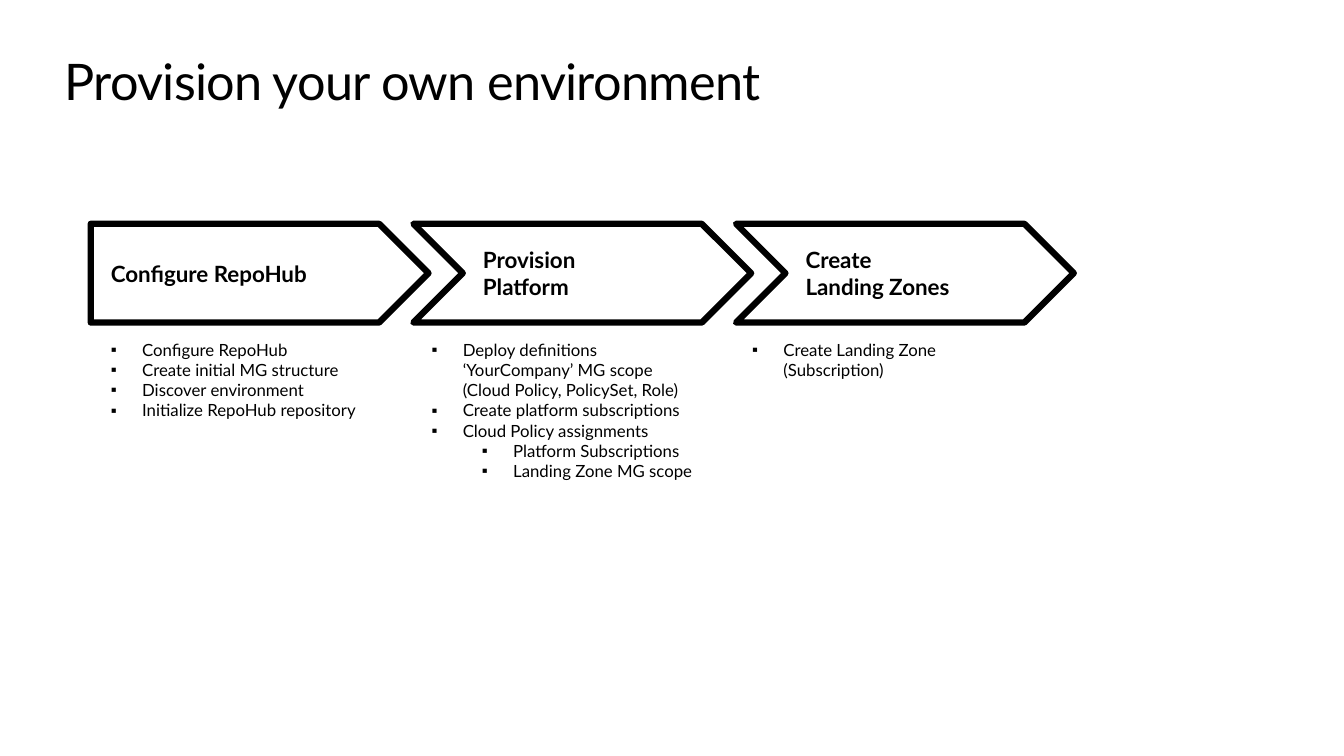
from copy import deepcopy

from lxml import etree
from pptx import Presentation
from pptx.dml.color import RGBColor
from pptx.enum.shapes import MSO_SHAPE
from pptx.enum.text import MSO_ANCHOR, MSO_AUTO_SIZE, PP_ALIGN
from pptx.oxml.ns import qn
from pptx.util import Inches, Pt

PENTAGON, CHEVRON = MSO_SHAPE.PENTAGON, MSO_SHAPE.CHEVRON
TOP, MIDDLE = MSO_ANCHOR.TOP, MSO_ANCHOR.MIDDLE
LEFT = PP_ALIGN.LEFT
NO_FIT = MSO_AUTO_SIZE.NONE
COMPARISON_LAYOUT = 4

BLACK, WHITE = "000000", "FFFFFF"
STEP_LEFT, STEP_PITCH = 0.9, 3.2
LIST_LEFT, LIST_PITCH = 0.9, 3.18
PADDING = (0.2, 0.16)

# Each step: heading, list width, list entries as (level, text)
STEPS = [
    ("Configure RepoHub", 2.88, [
        (0, "Configure RepoHub"),
        (0, "Create initial MG structure"),
        (0, "Discover environment"),
        (0, "Initialize RepoHub repository"),
    ]),
    ("Provision\nPlatform", 3.03, [
        (0, "Deploy definitions ‘YourCompany’ MG scope\n(Cloud Policy, PolicySet, Role)"),
        (0, "Create platform subscriptions"),
        (0, "Cloud Policy assignments"),
        (1, "Platform Subscriptions"),
        (1, "Landing Zone MG scope"),
    ]),
    ("Create\nLanding Zones", 3.03, [
        (0, "Create Landing Zone (Subscription)"),
    ]),
]


def color(hex_string):
    return RGBColor.from_string(hex_string)


class SlideBuilder:
    """Holds the text style and the current slide."""

    def __init__(self, slide):
        self.slide = slide
        self.font_name = "Lato"

    def place(self, shape, left, top, width, height):
        box = {"left": left, "top": top, "width": width, "height": height}
        for name, value in box.items():
            setattr(shape, name, Inches(value))

    def frame(self, shape, anchor, padding):
        across, down = map(Inches, padding)
        values = {
            "word_wrap": True, "auto_size": NO_FIT, "vertical_anchor": anchor,
            "margin_left": across, "margin_right": across,
            "margin_top": down, "margin_bottom": down,
        }
        for name, value in values.items():
            setattr(shape.text_frame, name, value)

    def set_text(self, paragraph, text, size, bold=False):
        paragraph.text = text
        layout = {"alignment": LEFT, "line_spacing": 1.0,
                  "space_before": Pt(0), "space_after": Pt(0)}
        for name, value in layout.items():
            setattr(paragraph, name, value)
        style = {"name": self.font_name, "size": Pt(size), "bold": bold}
        for run in paragraph.runs:
            for name, value in style.items():
                setattr(run.font, name, value)
            run.font.color.rgb = color(BLACK)
        # Line breaks take the size of the text around them
        for line_break in paragraph._p.findall(qn("a:br")):
            line_break.insert(0, deepcopy(paragraph.runs[0]._r.rPr))

    def title(self, text):
        shape = self.slide.shapes.title
        self.place(shape, 0.64, 0.5, 12.05, 0.61)
        self.frame(shape, TOP, (0, 0))
        paragraph = shape.text_frame.paragraphs[0]
        self.set_text(paragraph, text, 36)
        paragraph.runs[0]._r.rPr.set("spc", "-50")

    def step(self, kind, left, text):
        shape = self.slide.shapes.add_shape(
            kind, Inches(left), Inches(2.22), Inches(3.35), Inches(0.98))
        shape.shadow.inherit = False
        shape.fill.solid()
        shape.fill.fore_color.rgb = color(WHITE)
        shape.line.color.rgb = color(BLACK)
        shape.line.width = Pt(4.5)
        self.frame(shape, MIDDLE, PADDING)
        self.set_text(shape.text_frame.paragraphs[0], text, 16, bold=True)

    def bullet_list(self, shape, left, width, entries):
        self.place(shape, left, 3.21, width, 2.26)
        self.frame(shape, TOP, PADDING)
        text_frame = shape.text_frame
        for index, (level, text) in enumerate(entries):
            paragraph = text_frame.add_paragraph() if index else text_frame.paragraphs[0]
            self.set_text(paragraph, text, 12)
            paragraph.level = level
            properties = paragraph._p.get_or_add_pPr()
            properties.set("marL", str(Inches(0.31 + 0.5 * level)))
            properties.set("indent", str(Inches(-0.31)))
            etree.SubElement(properties, qn("a:buChar")).set("char", "▪")


def main():
    presentation = Presentation()
    presentation.slide_width = Inches(13.33)
    presentation.slide_height = Inches(7.5)
    slide = presentation.slides.add_slide(presentation.slide_layouts[COMPARISON_LAYOUT])
    builder = SlideBuilder(slide)

    builder.title("Provision your own environment")

    # Process steps with their lists
    bodies = list(slide.placeholders)[1:]
    for index, (heading, width, entries) in enumerate(STEPS):
        kind = CHEVRON if index else PENTAGON
        builder.step(kind, STEP_LEFT + index * STEP_PITCH, heading)
        builder.bullet_list(bodies[index], LIST_LEFT + index * LIST_PITCH, width, entries)

    # Unused placeholders
    for body in bodies[len(STEPS):]:
        body.element.getparent().remove(body.element)

    presentation.save("out.pptx")


if __name__ == "__main__":
    main()
